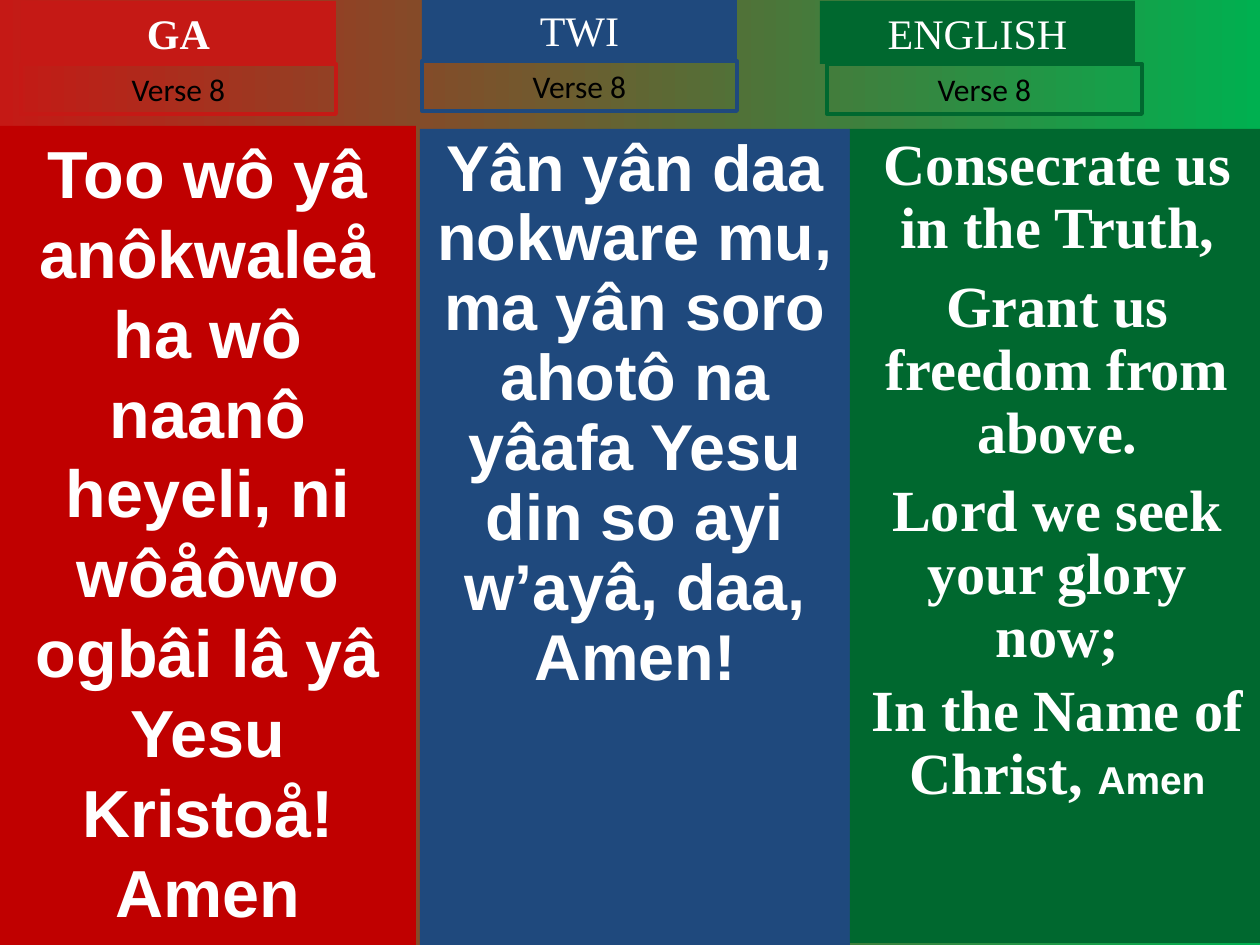
from pptx import Presentation, util as u
from pptx.dml.color import RGBColor
from pptx.enum import shapes, text

PX = 914400 / 126
WIDTH, HEIGHT = 1260, 945
WHITE = RGBColor(0xFF, 0xFF, 0xFF)
BLACK = RGBColor(0, 0, 0)
SCARLET = RGBColor(0xC5, 0x19, 0x15)
RED = RGBColor(0xC0, 0, 0)
BLUE = RGBColor(0x1F, 0x49, 0x7D)
GREEN = RGBColor(0, 0x68, 0x2F)
LIGHT_GREEN = RGBColor(0, 0xB0, 0x50)
SERIF = "Times New Roman"


def px(value):
    return u.Emu(round(value * PX))


def add_box(page, left, top, width, height, fill=None, line=None):
    box = page.shapes.add_shape(
        shapes.MSO_SHAPE.RECTANGLE, px(left), px(top), px(width), px(height))
    box.shadow.inherit = False
    if fill is None:
        box.fill.background()
    else:
        box.fill.solid()
        box.fill.fore_color.rgb = fill
    if line is None:
        box.line.fill.background()
    else:
        box.line.color.rgb = line
        box.line.width = u.Pt(2.25)
    box.text_frame.word_wrap = True
    box.text_frame.vertical_anchor = text.MSO_ANCHOR.TOP
    return box


def add_text(para, words, size, font=SERIF, color=WHITE, bold=False,
             spacing=None, before=None):
    para.alignment = text.PP_ALIGN.CENTER
    if spacing is not None:
        para.line_spacing = spacing
    if before is not None:
        para.space_before = u.Pt(before)
    span = para.add_run()
    span.text = words
    span.font.size = u.Pt(size)
    span.font.name = font
    span.font.color.rgb = color
    span.font.bold = bold


def add_heading(page, left, top, language, color, bold=False, shift=0):
    title = add_box(page, left, top, 315, 63, fill=color)
    verse = add_box(page, left + shift, top + 63, 315, 50, line=color)
    for box in (title, verse):
        box.text_frame.auto_size = text.MSO_AUTO_SIZE.SHAPE_TO_FIT_TEXT
    add_text(title.text_frame.paragraphs[0], language, 24, bold=bold)
    add_text(verse.text_frame.paragraphs[0], "Verse 8", 18, "Calibri", BLACK)


def add_lyrics(page, left, top, width, height, fill, lines, size, font,
               spacing=None):
    frame = add_box(page, left, top, width, height, fill=fill).text_frame
    for index, (words, before) in enumerate(lines):
        para = frame.add_paragraph() if index else frame.paragraphs[0]
        add_text(para, words, size, font, bold=True, spacing=spacing, before=before)
    return frame


def paint_background(page):
    fill = page.background.fill
    fill.gradient()
    fill.gradient_angle = 0
    for stop, color in zip(fill.gradient_stops, (SCARLET, LIGHT_GREEN)):
        stop.color.rgb = color


def main():
    deck = Presentation()
    deck.slide_width, deck.slide_height = px(WIDTH), px(HEIGHT)
    page = deck.slides.add_slide(deck.slide_layouts[6])
    paint_background(page)

    add_lyrics(page, 0, 126, 416, 819, RED, [
        ("Too wô yâ anôkwaleå ha wô naanô heyeli, ni wôåôwo ogbâi lâ yâ "
         "Yesu Kristoå! Amen", None)], 38, "Arial")
    add_lyrics(page, 420, 129, 430, 816, BLUE, [
        ("Yân yân daa nokware mu, ma yân soro ahotô na yâafa Yesu din so ayi "
         "w’ayâ, daa, Amen!", None)], 37, "Arial", 0.9)
    english = add_lyrics(page, 850, 129, 415, 814, GREEN, [
        ("Consecrate us in the Truth,", None),
        ("Grant us freedom from above.", 9),
        ("Lord we seek your glory now;", 9),
        ("In the Name of Christ, ", 6)], 33.3, SERIF, 0.9)
    add_text(english.paragraphs[-1], "Amen", 22.2, "Arial", bold=True)

    add_heading(page, 21, 1, "GA", SCARLET, bold=True)
    add_heading(page, 422, -2, "TWI", BLUE)
    add_heading(page, 820, 1, "ENGLISH", GREEN, shift=7)
    deck.save("out.pptx")


if __name__ == "__main__":
    main()
